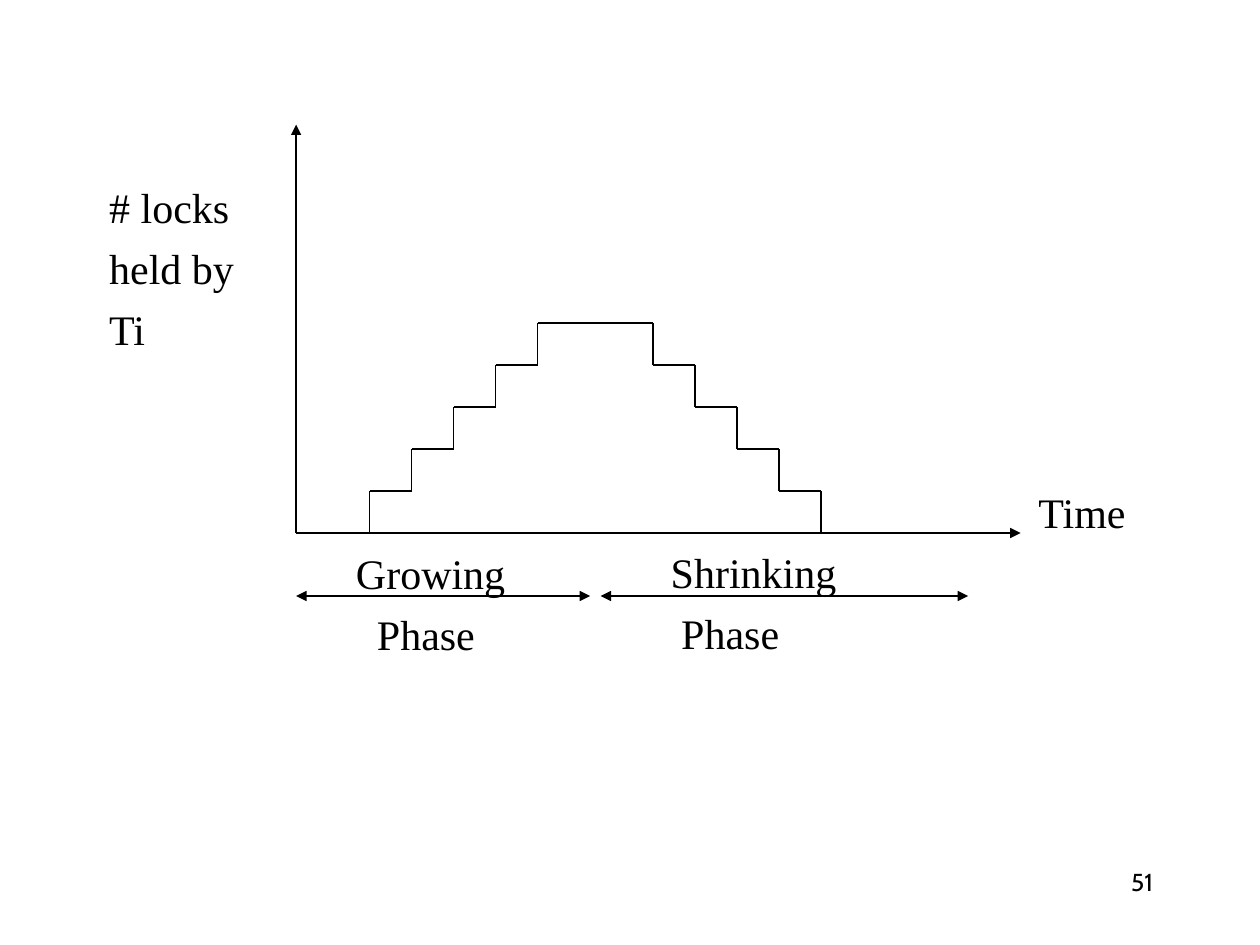
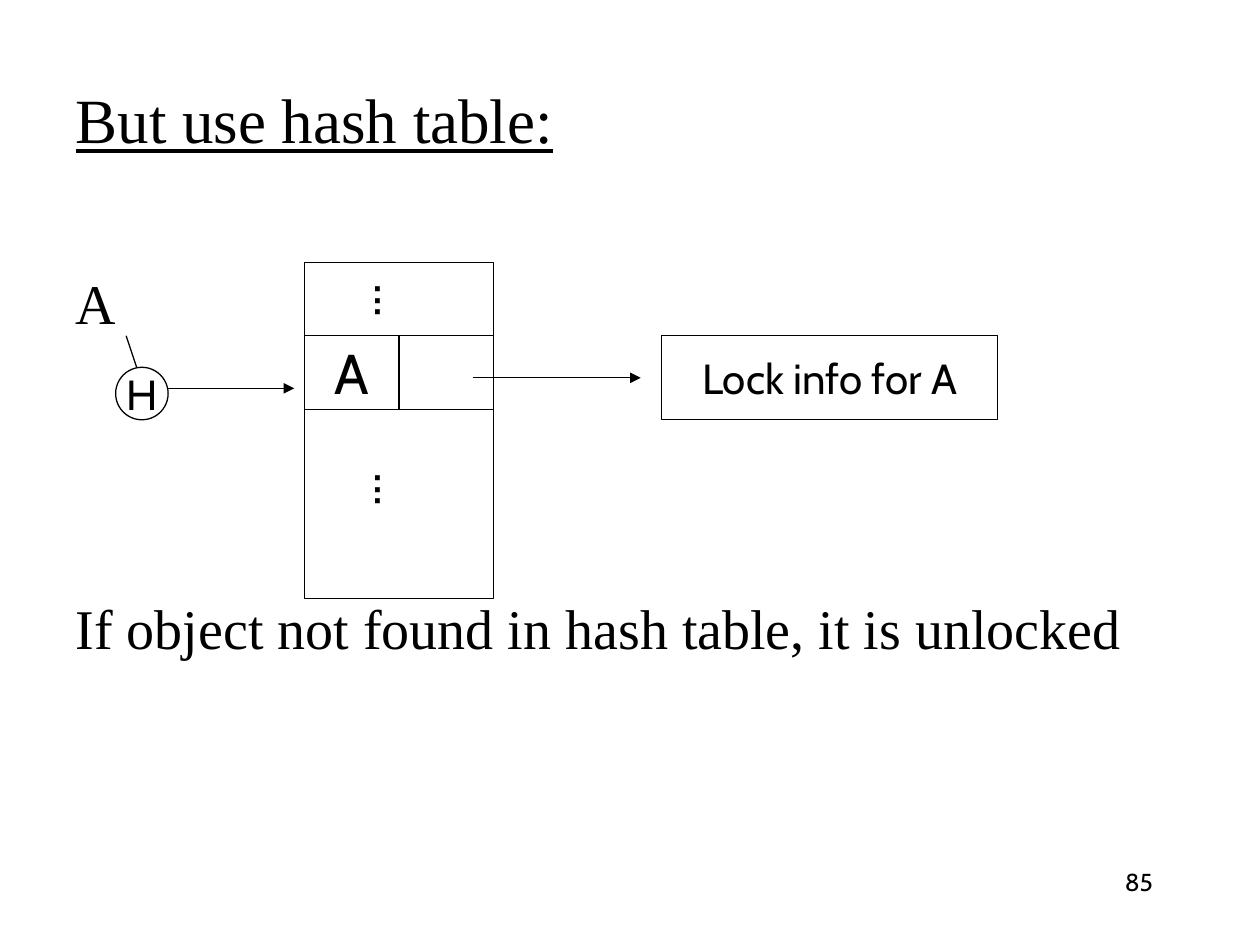
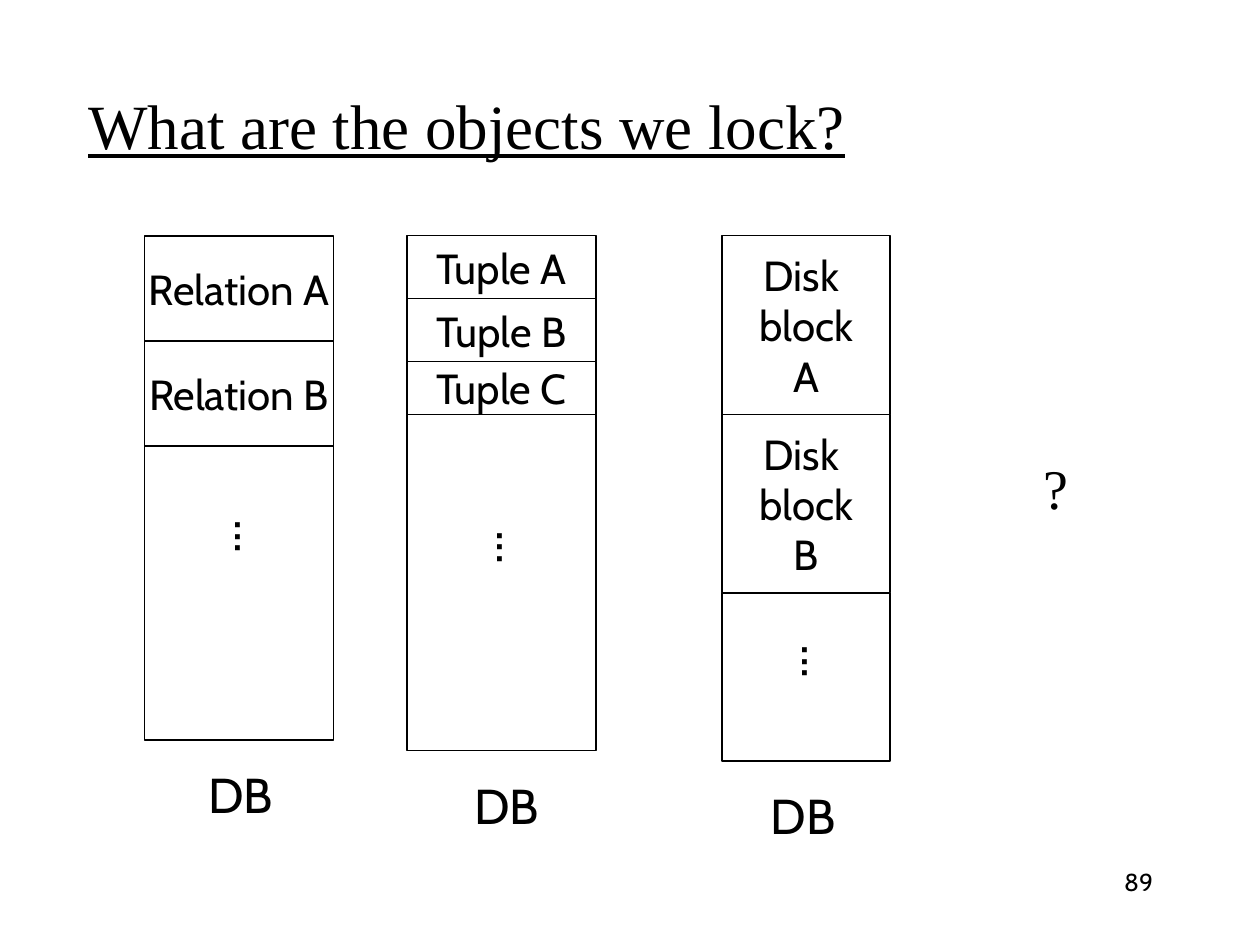
from dataclasses import dataclass

import pptx
import pptx.dml.color
import pptx.enum.shapes
import pptx.enum.text
import pptx.oxml.ns
import pptx.util
from lxml import etree

Pt = pptx.util.Pt
RGB = pptx.dml.color.RGBColor
SHAPE = pptx.enum.shapes.MSO_SHAPE
ALIGN = pptx.enum.text.PP_ALIGN
ANCHOR = pptx.enum.text.MSO_ANCHOR
qn = pptx.oxml.ns.qn


@dataclass(frozen=True)
class Theme:
    ink: RGB = RGB(0, 0, 0)
    paper: RGB = RGB(255, 255, 255)
    serif: str = "Times New Roman"
    sans: str = "Cabin"
    title: float = 36
    body: float = 32
    caption: float = 28
    label: float = 24
    number: float = 14
    line: float = 0.75
    leading: float = 1.2
    gap: float = 0.25


@dataclass(frozen=True)
class Box:
    x: float
    y: float
    w: float
    h: float

    def lengths(self):
        return [Pt(v) for v in (self.x, self.y, self.w, self.h)]


THEME = Theme()
FAR_INDENT = 531
LABEL_FRAME = {"word_wrap": False, "vertical_anchor": ANCHOR.MIDDLE}


# Shared text and line helpers
def set_all(target, values):
    for name, value in values.items():
        setattr(target, name, value)


def move_to(shape, box):
    set_all(shape, dict(zip(("left", "top", "width", "height"), box.lengths())))


def add_run(paragraph, text, size, font, underline=None):
    run = paragraph.add_run()
    run.text = text
    set_all(run.font, {"name": font, "size": Pt(size), "underline": underline})
    run.font.color.rgb = THEME.ink


def write_label(shape, text, size, frame=LABEL_FRAME, align=ALIGN.CENTER):
    set_all(shape.text_frame, frame)
    for i, line in enumerate(text.split("\n")):
        holder = shape.text_frame
        paragraph = holder.add_paragraph() if i else holder.paragraphs[0]
        paragraph.alignment = align
        add_run(paragraph, line, size, THEME.sans)


def add_cell(slide, box, text="", size=THEME.label, kind=SHAPE.RECTANGLE):
    cell = slide.shapes.add_shape(kind, *box.lengths())
    cell.shadow.inherit = False
    cell.fill.solid()
    cell.fill.fore_color.rgb = THEME.paper
    cell.line.color.rgb = THEME.ink
    cell.line.width = Pt(THEME.line)
    if text:
        write_label(cell, text, size)


def add_line(slide, start, end, arrow=False):
    line = slide.shapes.add_connector(
        pptx.enum.shapes.MSO_CONNECTOR.STRAIGHT, *[Pt(v) for v in (*start, *end)])
    line.line.color.rgb = THEME.ink
    line.line.width = Pt(THEME.line)
    if arrow:
        etree.SubElement(line.line._get_or_add_ln(), qn("a:tailEnd"), type="triangle")
    etree.SubElement(line._element.spPr, qn("a:effectLst"))


def add_dots(slide, center_x, center_y):
    w, h = 44, 46
    dots = slide.shapes.add_textbox(
        *Box(center_x - w / 2, center_y - h / 2, w, h).lengths())
    dots.rotation = 90
    write_label(dots, "...", THEME.body,
                {"word_wrap": True, "vertical_anchor": ANCHOR.MIDDLE})


# Page frame: title, body and page number
def add_page(deck, number, title=None, title_box=None):
    slide = deck.slides.add_slide(deck.slide_layouts[1])
    heading = slide.shapes.title
    if title:
        move_to(heading, title_box)
        set_all(heading.text_frame, {
            "auto_size": pptx.enum.text.MSO_AUTO_SIZE.NONE,
            "vertical_anchor": ANCHOR.MIDDLE})
        paragraph = heading.text_frame.paragraphs[0]
        paragraph.alignment = ALIGN.LEFT
        add_run(paragraph, title, THEME.title, THEME.serif, underline=True)
    else:
        heading._element.getparent().remove(heading._element)
    page_number = slide.shapes.add_textbox(*Box(516, 492, 150, 36).lengths())
    write_label(page_number, number, THEME.number, {"word_wrap": True}, ALIGN.RIGHT)
    return slide


def line_pitch(size):
    return size * (THEME.leading + THEME.gap)


def write_lines(shape, lines, size, anchor=ANCHOR.TOP):
    """Each line is (text, lines skipped above it, left indent)."""
    frame = shape.text_frame
    set_all(frame, {"auto_size": pptx.enum.text.MSO_AUTO_SIZE.NONE,
                    "word_wrap": True, "vertical_anchor": anchor})
    for i, (text, skipped, indent) in enumerate(lines):
        paragraph = frame.add_paragraph() if i else frame.paragraphs[0]
        properties = paragraph._p.get_or_add_pPr()
        properties.set("marL", str(int(Pt(indent))))
        properties.set("indent", "0")
        etree.SubElement(properties, qn("a:buNone"))
        above = size * THEME.gap + skipped * line_pitch(size) if i else 0
        set_all(paragraph, {"line_spacing": Pt(size * THEME.leading),
                            "space_before": Pt(above)})
        add_run(paragraph, text, size, THEME.serif)


def fill_body(slide, box, lines, size, anchor=ANCHOR.TOP):
    body = slide.placeholders[1]
    move_to(body, box)
    write_lines(body, lines, size, anchor)


# Two-phase locking graph
def draw_stairs(slide, x, base, direction, step=24, count=5):
    for i in range(count):
        foot = (x + direction * step * i, base - step * i)
        corner = (foot[0], foot[1] - step)
        add_line(slide, foot, corner)
        add_line(slide, corner, (corner[0] + direction * step, corner[1]))


def draw_lock_graph(slide, box):
    base = box.y + box.h
    origin = (box.x, base)
    add_line(slide, origin, (box.x + box.w, base), arrow=True)
    add_line(slide, origin, (box.x, box.y), arrow=True)
    # Phase spans, each pointing outwards from a point inside it
    for left, middle, right in ((0, 60, 168), (174, 294, 384)):
        for end in (left, right):
            add_line(slide, (box.x + middle, base + 36),
                     (box.x + end, base + 36), arrow=True)
    # Locks taken, held, then released
    draw_stairs(slide, box.x + 42, base, 1)
    add_line(slide, (box.x + 162, base - 120), (box.x + 186, base - 120))
    draw_stairs(slide, box.x + 300, base, -1)


def build_phases(deck):
    slide = add_page(deck, "51")
    body = Box(55.2, 100.2, 612, 324)
    fill_body(slide, body, [
        ("# locks", 0, 0),
        ("held by", 0, 0),
        ("Ti", 0, 0),
        ("Time", 2, FAR_INDENT),
        ("Growing", 0, 141),
        ("Phase", 0, 153),
    ], THEME.label)
    # Second phase label, level with the seventh line of the body
    shrinking = slide.shapes.add_textbox(*Box(
        body.x + 321, body.y + 6 * line_pitch(THEME.label), 130, 72).lengths())
    write_lines(shrinking, [("Shrinking", 0, 0), ("Phase", 0, 6)], THEME.label)
    draw_lock_graph(slide, Box(169.2, 71.2, 414, 233.4))


# Hash table lookup
def draw_hash_table(slide, box):
    row, half = 42, box.w / 2
    add_cell(slide, Box(box.x, box.y, box.w, row))
    add_cell(slide, Box(box.x, box.y + row, half, row), "A", THEME.body)
    add_cell(slide, Box(box.x + half, box.y + row, half, row))
    add_cell(slide, Box(box.x, box.y + 2 * row, box.w, box.h - 2 * row))
    for center_y in (22, 130):
        add_dots(slide, box.x + half - 1, box.y + center_y)


def draw_lookup(slide, box):
    table = Box(box.x + 108, box.y, 108, box.h)
    add_cell(slide, Box(box.x + 312, box.y + 42, 192, 48), "Lock info for A")
    draw_hash_table(slide, table)
    add_cell(slide, Box(box.x, box.y + 60, 30, 30), "H", kind=SHAPE.OVAL)
    add_line(slide, (box.x + 6, box.y + 42), (box.x + 12, box.y + 60))
    add_line(slide, (box.x + 30, box.y + 72), (table.x - 6, box.y + 72), arrow=True)
    add_line(slide, (table.x + 96, box.y + 66), (box.x + 300, box.y + 66), arrow=True)


def build_hash_table(deck):
    slide = add_page(deck, "85", "But use hash table:", Box(36, 30, 612, 75.6))
    fill_body(slide, Box(36, 150, 648, 294), [
        ("A", 0, 0),
        ("If object not found in hash table, it is unlocked", 3, 0),
    ], THEME.body)
    draw_lookup(slide, Box(66.1, 149.9, 504, 192))


# Lockable objects at three granularities
def draw_database(slide, box, objects, object_heights, dots_y, caption_shift):
    y = box.y
    for text, height in zip(objects, object_heights):
        add_cell(slide, Box(box.x, y, box.w, height), text)
        y += height
    bottom = box.y + box.h
    add_cell(slide, Box(box.x, y, box.w, bottom - y))
    center = box.x + box.w / 2
    add_dots(slide, center + 10.7, y + dots_y)
    w, h = 52, 41
    caption = slide.shapes.add_textbox(
        *Box(center + caption_shift - w / 2, bottom + 10.5, w, h).lengths())
    write_label(caption, "DB", THEME.caption)


def build_objects(deck):
    slide = add_page(deck, "89", "What are the objects we lock?",
                     Box(43.2, 25.9, 612, 90))
    fill_body(slide, Box(58.3, 116.6, 612, 324), [("?", 0, FAR_INDENT)],
              THEME.body, ANCHOR.MIDDLE)
    top = 134.8
    draw_database(slide, Box(82.6, top, 108, 288),
                  ("Relation A", "Relation B"), (60, 60), 52, 0.9)
    draw_database(slide, Box(232.6, top, 108, 294),
                  ("Tuple A", "Tuple B", "Tuple C"), (36, 36, 30), 76, 2.9)
    draw_database(slide, Box(412.6, top, 96, 300),
                  ("Disk \nblock\nA", "Disk \nblock\nB"), (102, 102), 39.5, -1.7)


def main():
    deck = pptx.Presentation()
    deck.slide_width, deck.slide_height = Pt(720), Pt(540)
    for build in (build_phases, build_hash_table, build_objects):
        build(deck)
    deck.save("out.pptx")


if __name__ == "__main__":
    main()
